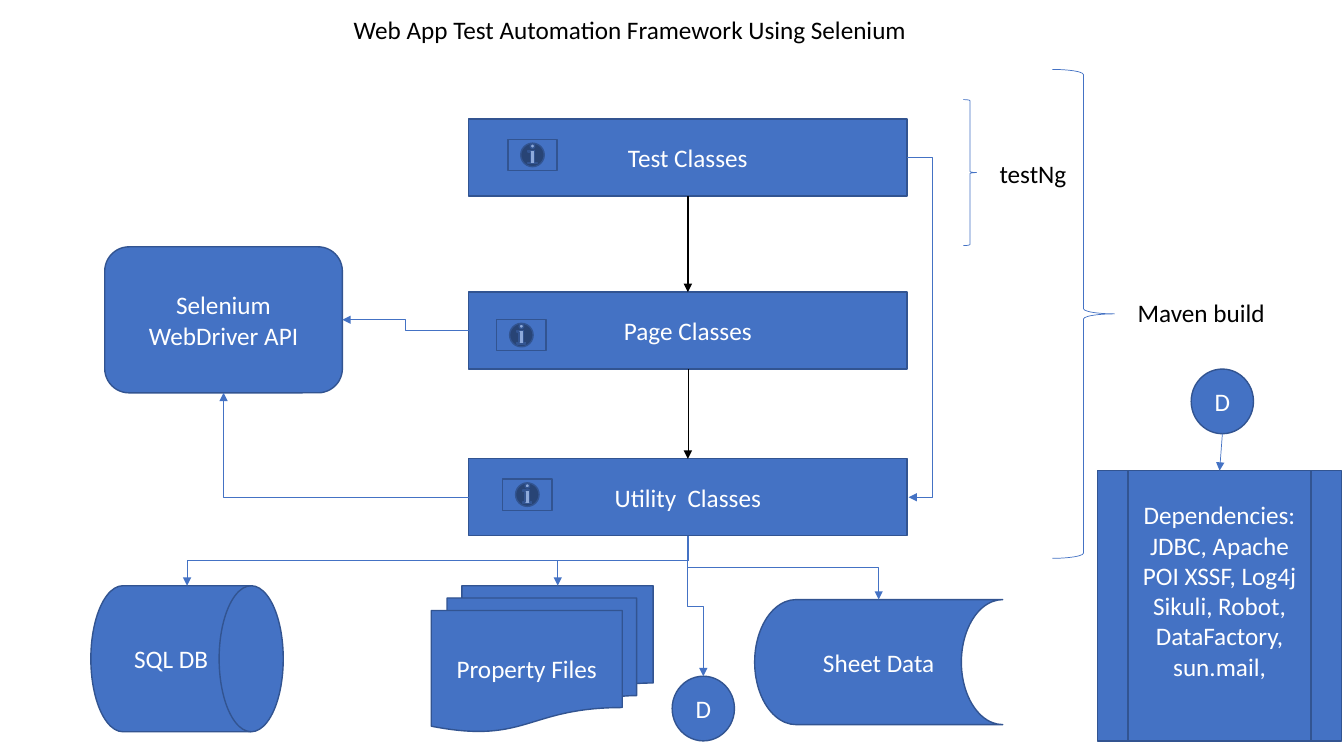
from lxml import etree
from pptx import Presentation
from pptx.dml.color import RGBColor
from pptx.enum.shapes import MSO_CONNECTOR, MSO_SHAPE
from pptx.enum.text import MSO_ANCHOR, PP_ALIGN
from pptx.oxml.ns import qn
from pptx.util import Cm, Pt

STRAIGHT, ELBOW = MSO_CONNECTOR.STRAIGHT, MSO_CONNECTOR.ELBOW
RECTANGLE, ROUNDED = MSO_SHAPE.RECTANGLE, MSO_SHAPE.ROUNDED_RECTANGLE
BRACE, INFO = MSO_SHAPE.RIGHT_BRACE, MSO_SHAPE.ACTION_BUTTON_INFORMATION
DRUM = MSO_SHAPE.FLOWCHART_DIRECT_ACCESS_STORAGE
DOCUMENTS = MSO_SHAPE.FLOWCHART_MULTIDOCUMENT
STORED = MSO_SHAPE.FLOWCHART_STORED_DATA
CIRCLE, PROCESS = MSO_SHAPE.FLOWCHART_CONNECTOR, MSO_SHAPE.FLOWCHART_PREDEFINED_PROCESS
TOP, MIDDLE = MSO_ANCHOR.TOP, MSO_ANCHOR.MIDDLE
LEFT, CENTER = PP_ALIGN.LEFT, PP_ALIGN.CENTER

BLUE, DARK_BLUE, BLACK, WHITE = "4472C4", "325491", "000000", "FFFFFF"
FONT = {"name": "Calibri", "size": Pt(18), "bold": False}


def rgb(value):
    return RGBColor.from_string(value)


def apply(target, settings):
    for key, value in settings.items():
        setattr(target, key, value)


def write(frame, text, color, align, anchor, wrap=True):
    apply(frame, {"text": text, "word_wrap": wrap, "vertical_anchor": anchor})
    for paragraph in frame.paragraphs:
        apply(paragraph, {"alignment": align, "line_spacing": 1.0})
        apply(paragraph.font, FONT)
        paragraph.font.color.rgb = rgb(color)


def add_block(slide, kind, box, text=""):
    block = slide.shapes.add_shape(kind, *map(Cm, box))
    block.shadow.inherit = False
    block.fill.solid()
    block.fill.fore_color.rgb = rgb(BLUE)
    block.line.color.rgb = rgb(DARK_BLUE)
    block.line.width = Pt(1)
    if text:
        write(block.text_frame, text, WHITE, CENTER, MIDDLE)
    return block


def edge(box, across, down):
    """Point at the given fractions of a box."""
    left, top, width, height = box
    return left + across * width, top + down * height


def add_arrow(slide, start, end, kind=STRAIGHT, color=BLUE, width=0.5):
    arrow = slide.shapes.add_connector(kind, *map(Cm, start + end))
    arrow.line.color.rgb = rgb(color)
    arrow.line.width = Pt(width)
    properties = arrow._element.spPr
    etree.SubElement(properties.find(qn("a:ln")), qn("a:tailEnd"), type="triangle")
    etree.SubElement(properties, qn("a:effectLst"))
    return arrow


def add_drop(slide, start, end):
    """Elbow that leaves downwards: a level elbow given a quarter turn."""
    dx, dy = end[0] - start[0], end[1] - start[1]
    turn = 1 if dx < 0 else -1
    mid_x, mid_y = (start[0] + end[0]) / 2, (start[1] + end[1]) / 2
    half_x, half_y = turn * dy / 2, -turn * dx / 2
    arrow = add_arrow(slide, (mid_x - half_x, mid_y - half_y),
                      (mid_x + half_x, mid_y + half_y), ELBOW)
    arrow._element.spPr.find(qn("a:xfrm")).set("rot", str(turn % 4 * 5400000))


def bend_at(arrow, ratio):
    guides = arrow._element.spPr.find(qn("a:prstGeom")).get_or_add_avLst()
    etree.SubElement(guides, qn("a:gd"), name="adj1", fmla=f"val {round(ratio * 100000)}")


def add_title(slide, box, text):
    title = slide.shapes.title
    apply(title, dict(zip(("left", "top", "width", "height"), map(Cm, box))))
    write(title.text_frame, text, BLACK, LEFT, TOP)


def add_layer(slide, box, text, icon_offset):
    add_block(slide, RECTANGLE, box, text)
    icon_left, icon_top = icon_offset
    add_block(slide, INFO, (box[0] + icon_left, box[1] + icon_top, 1.24, 0.79))


def add_scope(slide, box, text, label_box):
    """Brace with the tool that covers the braced layers."""
    brace = slide.shapes.add_shape(BRACE, *map(Cm, box))
    brace.shadow.inherit = False
    brace.fill.background()
    brace.line.color.rgb = rgb(BLUE)
    brace.line.width = Pt(0.5)
    label = slide.shapes.add_textbox(*map(Cm, label_box))
    write(label.text_frame, text, BLACK, LEFT, TOP, wrap=False)


def add_layers(slide, layers, api):
    test, page, utility = layers
    add_layer(slide, test, "Test Classes", (0.99, 0.51))
    add_layer(slide, page, "Page Classes", (0.71, 0.69))
    add_layer(slide, utility, "Utility  Classes", (0.86, 0.51))
    add_block(slide, ROUNDED, api, "Selenium WebDriver API")

    # Calls between layers
    for upper, lower, width in ((test, page, 1.5), (page, utility, 0.5)):
        add_arrow(slide, edge(upper, 0.5, 1), edge(lower, 0.5, 0), color=BLACK, width=width)
    right, middle = edge(utility, 1, 0.5)
    gap, bend = 0.04, 0.64
    bypass = add_arrow(slide, edge(test, 1, 0.5), (right + gap, middle), ELBOW)
    bend_at(bypass, bend / gap)

    # Calls to the API
    add_arrow(slide, edge(page, 0, 0.5), edge(api, 1, 0.5), ELBOW)
    corner = add_arrow(slide, edge(utility, 0, 0.5), edge(api, 0.5, 1), ELBOW)
    corner._element.spPr.find(qn("a:prstGeom")).set("prst", "bentConnector2")


def add_sources(slide, utility):
    sources = (
        (DRUM, (2.29, 14.76, 4.85, 3.68), "SQL DB", 0.5),
        (DOCUMENTS, (10.87, 14.76, 5.59, 3.68), "Property Files", 0.57),
        (STORED, (19.02, 15.11, 6.25, 3.15), "Sheet Data", 0.5),
        (CIRCLE, (16.94, 17.04, 1.57, 1.63), "D", 0.5),
    )
    for kind, box, text, entry in sources:
        add_block(slide, kind, box, text)
        add_drop(slide, edge(utility, 0.5, 1), edge(box, entry, 0))


def add_dependencies(slide, box):
    marker = (box[0] + 2.36, box[1] - 2.56, 1.57, 1.63)
    add_block(slide, CIRCLE, marker, "D")
    listing = add_block(
        slide, PROCESS, box,
        "Dependencies:\nJDBC, Apache POI XSSF, Log4j Sikuli, Robot, DataFactory, sun.mail,")
    listing.text_frame.margin_bottom = Cm(0.9)
    add_arrow(slide, edge(marker, 0.5, 1), edge(box, 0.5, 0))


def main():
    deck = Presentation()
    deck.slide_width, deck.slide_height = Cm(33.87), Cm(19.05)
    slide = deck.slides.add_slide(deck.slide_layouts[5])
    add_title(slide, (8.66, 0.23, 15.16, 1.02), "Web App Test Automation Framework Using Selenium")
    layers = [(11.81, top, 11.05, 1.94) for top in (3, 7.36, 11.56)]
    add_layers(slide, layers, (2.64, 6.22, 5.99, 3.68))
    add_scope(slide, (24.28, 2.51, 0.33, 3.68), "testNg", (24.94, 3.86, 2.21, 1.02))
    add_scope(slide, (26.52, 1.75, 1.57, 12.32), "Maven build", (28.42, 7.37, 3.76, 1.02))
    add_sources(slide, layers[-1])
    add_dependencies(slide, (27.66, 11.86, 6.15, 6.81))
    deck.save("out.pptx")


if __name__ == "__main__":
    main()
